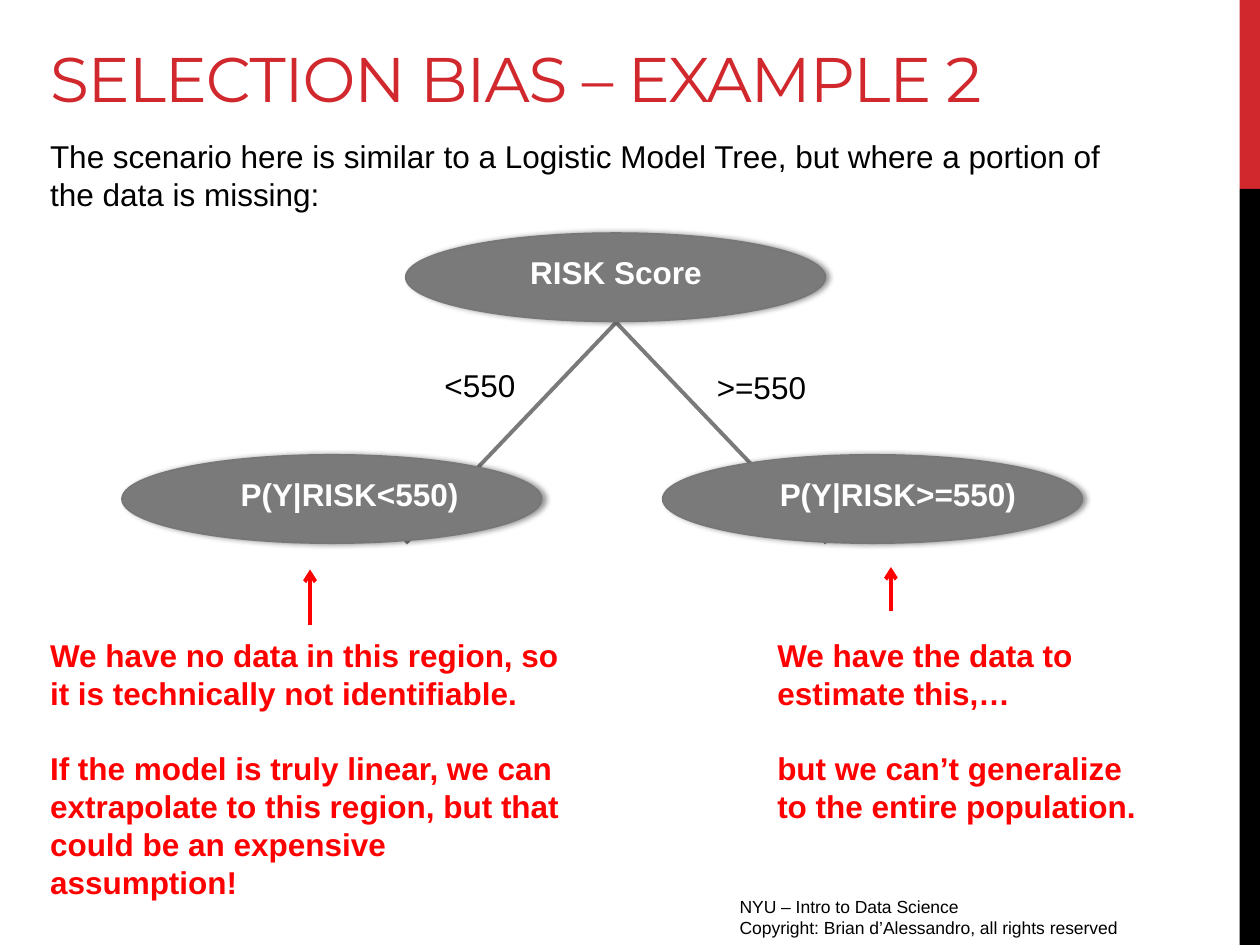
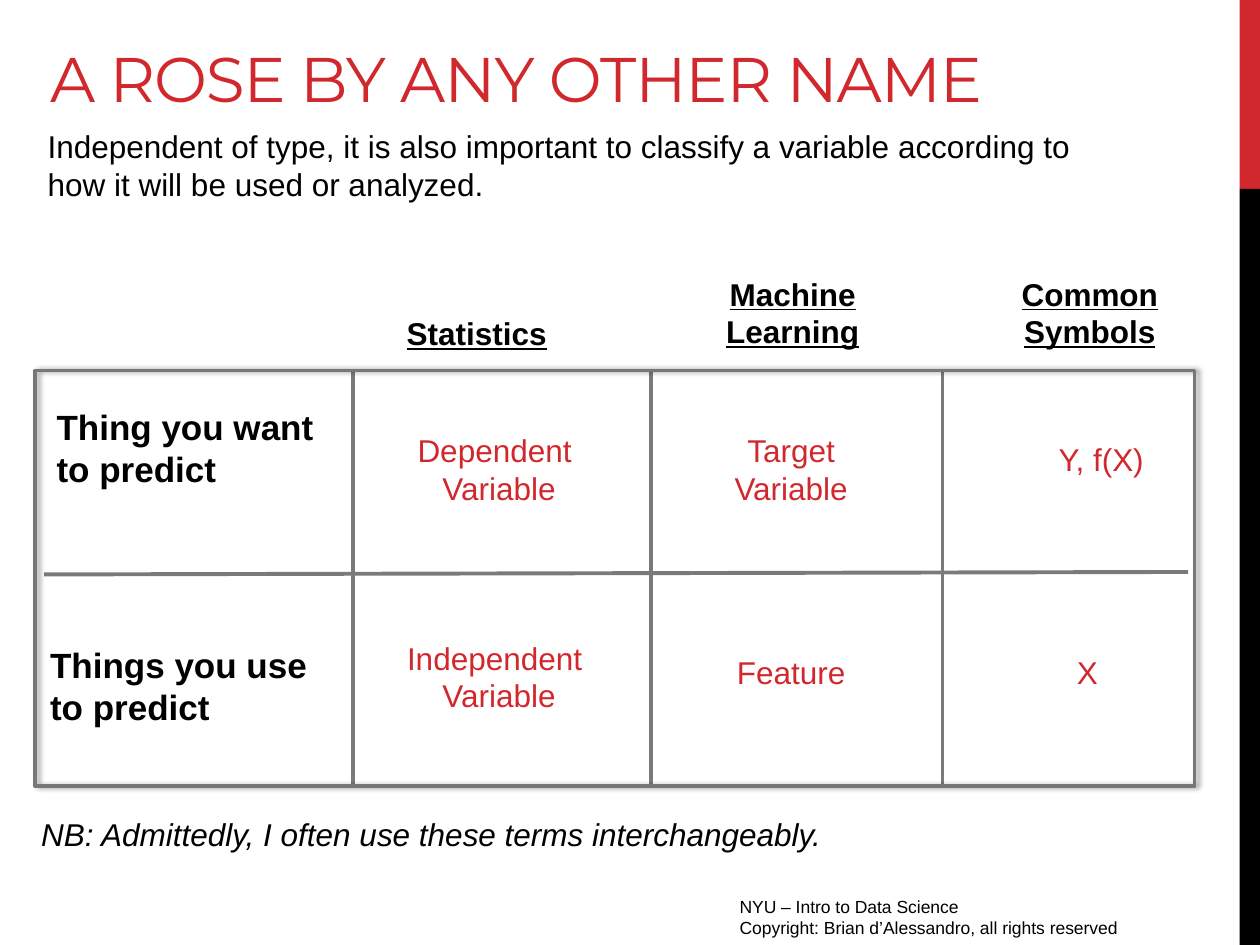
from dataclasses import dataclass

import lxml.etree
import pptx
import pptx.dml.color
import pptx.enum.shapes
import pptx.enum.text
import pptx.oxml.ns
import pptx.util

Cm = pptx.util.Cm
Pt = pptx.util.Pt
Shape = pptx.enum.shapes.MSO_SHAPE
Align = pptx.enum.text.PP_ALIGN
Anchor = pptx.enum.text.MSO_ANCHOR
qn = pptx.oxml.ns.qn


@dataclass(frozen=True)
class Theme:
    accent: str = "D1282E"
    ink: str = "000000"
    paper: str = "FFFFFF"
    node: str = "7A7A7A"
    outline: str = "777777"
    warning: str = "FF0000"
    title_font: str = "Montserrat"
    body_font: str = "Arial"
    title_size: int = 36
    row_size: int = 20
    body_size: int = 18
    footer_size: int = 10
    stroke: float = 2.25
    paragraph_gap: float = 21.5


def rgb(value):
    return pptx.dml.color.RGBColor.from_string(value)


class Deck:
    """Holds the style and the slide being built."""

    def __init__(self, theme):
        self.theme = theme
        self.prs = pptx.Presentation()
        self.prs.slide_width, self.prs.slide_height = Cm(25.4), Cm(19.05)
        self.slide = None

    def new_slide(self, title):
        t = self.theme
        self.slide = self.prs.slides.add_slide(self.prs.slide_layouts[6])
        # Side bands
        self.shape(Shape.RECTANGLE, 24.99, 0, 0.41, 3.81, fill=t.accent)
        self.shape(Shape.RECTANGLE, 24.99, 3.81, 0.41, 15.24, fill=t.ink)
        # Footer
        self.text(["NYU – Intro to Data Science",
                   "Copyright: Brian d’Alessandro, all rights reserved"],
                  14.66, 17.93, 9.53, 0.79, size=t.footer_size)
        # Title
        heading = self.text([title], 0.76, 0, 23.32, 2.44, size=t.title_size,
                            color=t.accent, font=t.title_font)
        heading.vertical_anchor = Anchor.BOTTOM
        run = heading.paragraphs[0].runs[0]
        run._r.get_or_add_rPr().set("spc", "-60")

    def text(self, lines, left, top, width, height, size=None, color=None,
             font=None, bold=False, italic=False, underline=False,
             align=Align.LEFT, gap=0):
        t = self.theme
        box = self.slide.shapes.add_textbox(Cm(left), Cm(top), Cm(width), Cm(height))
        frame = box.text_frame
        frame.word_wrap = True
        for i, line in enumerate(lines):
            paragraph = frame.add_paragraph() if i else frame.paragraphs[0]
            paragraph.text = line
            paragraph.alignment = align
            if i and gap:
                paragraph.space_before = Pt(gap)
            style = paragraph.font
            style.name = font or t.body_font
            style.size = Pt(size or t.body_size)
            style.color.rgb = rgb(color or t.ink)
            style.bold, style.italic, style.underline = bold, italic, underline
        return frame

    def shape(self, kind, left, top, width, height, fill=None, line_width=0,
              shadow=False):
        shape = self.slide.shapes.add_shape(
            kind, Cm(left), Cm(top), Cm(width), Cm(height))
        if fill:
            shape.fill.solid()
            shape.fill.fore_color.rgb = rgb(fill)
        else:
            shape.fill.background()
        if line_width:
            shape.line.color.rgb = rgb(self.theme.outline)
            shape.line.width = Pt(line_width)
        else:
            shape.line.fill.background()
        shape.shadow.inherit = False
        if shadow:
            self.drop_shadow(shape)

    def drop_shadow(self, shape):
        effects = shape._element.spPr.find(qn("a:effectLst"))
        outer = lxml.etree.SubElement(
            effects, qn("a:outerShdw"), blurRad=str(Pt(3.1)), dist=str(Pt(1.8)),
            dir="0", algn="tl", rotWithShape="0")
        color = lxml.etree.SubElement(outer, qn("a:srgbClr"), val=self.theme.ink)
        lxml.etree.SubElement(color, qn("a:alpha"), val="40000")

    def line(self, x1, y1, x2, y2, color=None, arrow=False):
        line = self.slide.shapes.add_connector(
            pptx.enum.shapes.MSO_CONNECTOR.STRAIGHT, Cm(x1), Cm(y1), Cm(x2), Cm(y2))
        line.line.color.rgb = rgb(color or self.theme.node)
        line.line.width = Pt(self.theme.stroke)
        properties = line._element.spPr
        if arrow:
            lxml.etree.SubElement(properties.find(qn("a:ln")), qn("a:tailEnd"),
                                  type="arrow")
        lxml.etree.SubElement(properties, qn("a:effectLst"))

    def tree_node(self, label, left, top, label_left, label_width):
        self.shape(Shape.OVAL, left, top, 8.46, 1.78, fill=self.theme.node,
                   line_width=1, shadow=True)
        self.text([label], label_left, top + 0.28, label_width, 1.02,
                  color=self.theme.paper, bold=True)


def selection_bias(deck):
    t = deck.theme
    deck.new_slide("SELECTION BIAS – EXAMPLE 2")
    deck.text(["The scenario here is similar to a Logistic Model Tree, but where "
               "a portion of the data is missing:"], 0.76, 2.64, 21.69, 1.8)

    # Branches lie behind the leaf nodes
    for branch_end in (16.66, 8.18):
        deck.line(12.42, 6.5, branch_end, 10.95)
    deck.text([">=550"], 14.2, 7.29, 4.19, 1.02)
    deck.text(["<550"], 8.71, 7.26, 2.34, 1.02)

    # Tree nodes
    deck.tree_node("RISK Score", 8.18, 4.7, 10.44, 4.37)
    deck.tree_node("P(Y|RISK>=550)", 13.36, 9.17, 15.47, 5.56)
    deck.tree_node("P(Y|RISK<550)", 2.46, 9.17, 4.6, 5.56)

    # Remarks under the leaves
    remarks = [
        (["We have the data to estimate this,…",
          "but we can’t generalize to the entire population."],
         15.42, 8, 4.11, (17.96, 12.32, 17.96, 11.43)),
        (["We have no data in this region, so it is technically not identifiable.",
          "If the model is truly linear, we can extrapolate to this region, "
          "but that could be an expensive assumption!"],
         0.76, 10.9, 5.64, (6.25, 12.6, 6.25, 11.48)),
    ]
    for lines, left, width, height, pointer in remarks:
        deck.text(lines, left, 12.7, width, height, color=t.warning, bold=True,
                  gap=t.paragraph_gap)
        deck.line(*pointer, color=t.warning, arrow=True)


def variable_names(deck):
    t = deck.theme
    deck.new_slide("A ROSE BY ANY OTHER NAME")
    deck.text(["Independent of type, it is also important to classify a variable "
               "according to how it will be used or analyzed."],
              0.71, 2.44, 22.25, 1.8)

    # Grid
    frame_top, frame_height = 7.47, 8.38
    for divider in (7.11, 13.13, 19):
        deck.line(divider, frame_top, divider, frame_top + frame_height)
    deck.line(0.89, 11.58, 23.95, 11.53)
    deck.shape(Shape.RECTANGLE, 0.71, frame_top, 23.37, frame_height,
               line_width=2, shadow=True)

    # Row labels
    for first_line, left, top in (("Thing you want", 0.89, 8.05),
                                  ("Things you use", 0.76, 12.85)):
        deck.text([first_line, "to predict"], left, top, 7.52, 1.96,
                  size=t.row_size, bold=True)

    # Column headings
    headings = [
        (["Statistics"], 7.95, 6.2, Align.LEFT),
        (["Machine", "Learning"], 13.82, 5.41, Align.CENTER),
        (["Common", "Symbols"], 19.81, 5.41, Align.CENTER),
    ]
    for lines, left, top, align in headings:
        deck.text(lines, left, top, 4.32, 0.9 * len(lines), bold=True,
                  underline=True, align=align)

    # Terms
    terms = [
        (["Dependent ", "Variable"], 7.9, 8.56),
        (["Independent ", "Variable"], 7.9, 12.75),
        (["Target", "Variable"], 13.79, 8.56),
        (["Feature"], 13.79, 13.03),
        (["Y, f(X)"], 20.04, 8.74),
        (["X"], 19.76, 13.03),
    ]
    for lines, left, top in terms:
        deck.text(lines, left, top, 4.32, 0.9 * len(lines), color=t.accent,
                  align=Align.CENTER)

    deck.text(["NB: Admittedly, I often use these terms interchangeably."],
              0.58, 16.31, 22.25, 1.02, italic=True)


def main():
    deck = Deck(Theme())
    selection_bias(deck)
    variable_names(deck)
    deck.prs.save("out.pptx")


if __name__ == "__main__":
    main()
